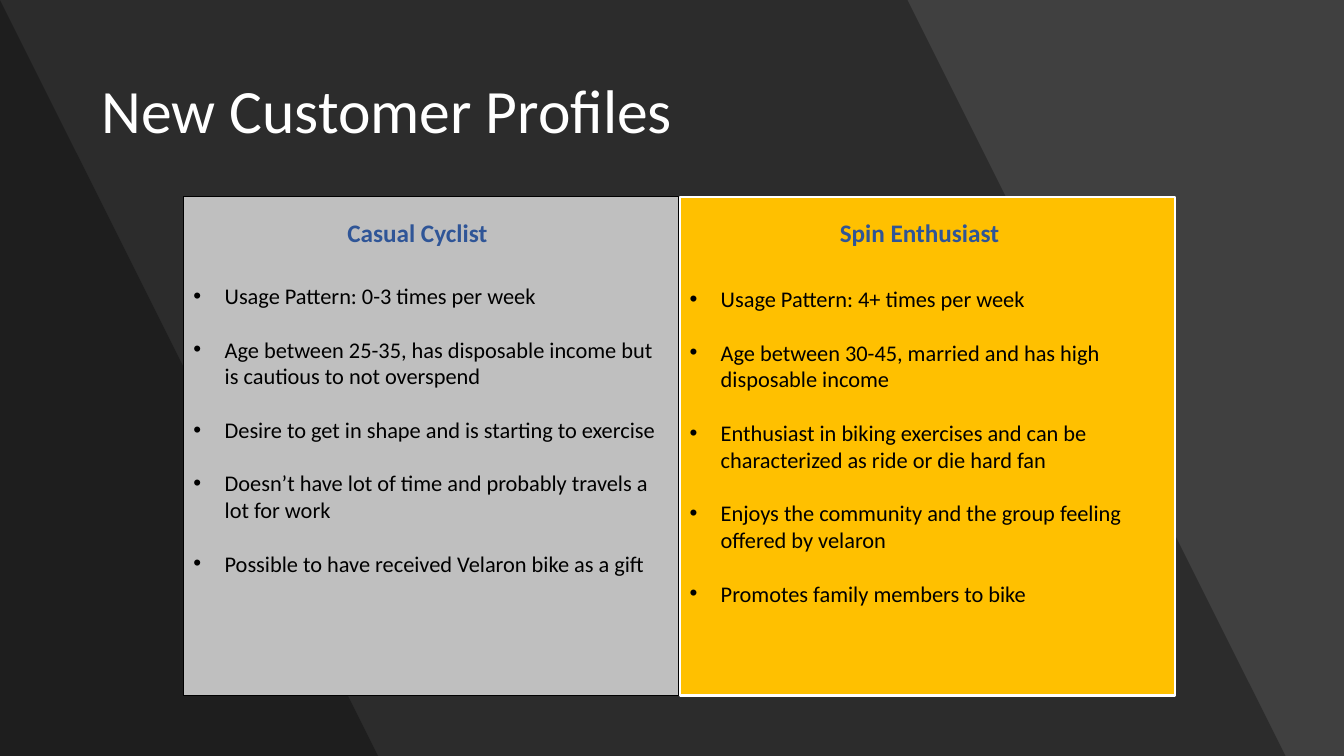
import pptx
import pptx.util
import pptx.dml.color
import pptx.enum.shapes
import pptx.enum.text
import pptx.oxml
import pptx.oxml.ns
from pptx.util import Inches

# Content
TITLE = "New Customer Profiles"
PROFILES = [
    {
        "name": "Casual Cyclist", "fill": "grey", "line": "black", "line_width": 1,
        "left": 1.82, "heading_left": 3.24, "text_top": 0.85,
        "points": [
            "Usage Pattern: 0-3 times per week",
            "Age between 25-35, has disposable income but is cautious to not overspend",
            "Desire to get in shape and is starting to exercise",
            "Doesn’t have lot of time and probably travels a lot for work",
            "Possible to have received Velaron bike as a gift",
        ],
    },
    {
        "name": "Spin Enthusiast", "fill": "gold", "line": "white", "line_width": 1.5,
        "left": 6.74, "heading_left": 8.22, "text_top": 0.88,
        "points": [
            "Usage Pattern: 4+ times per week",
            "Age between 30-45, married and has high disposable income",
            "Enthusiast in biking exercises and can be characterized as ride or die hard fan",
            "Enjoys the community and the group feeling offered by velaron",
            "Promotes family members to bike",
        ],
    },
]
COLOURS = {
    "background": "404040", "black": "000000", "white": "FFFFFF",
    "grey": "BFBFBF", "gold": "FFC000", "blue": "2F5597",
}
FONT = "Calibri"
SLIDE_WIDTH, SLIDE_HEIGHT = 13.33, 7.5
BANDS = [(9.42, 12.89), (0.44, 3.92)]  # right edge at the top and at the bottom
BAND_OPACITY = 30
PANEL_TOP, PANEL_WIDTH, PANEL_HEIGHT = 1.95, 4.91, 4.95
INDENT = 0.31
POINT_GAP = 19


def colour(name):
    return pptx.dml.color.RGBColor.from_string(COLOURS[name])


def paint(fill, name):
    fill.solid()
    fill.fore_color.rgb = colour(name)


def style(para, size, name, bold=False):
    for span in para.runs:
        span.font.name = FONT
        span.font.size = pptx.util.Pt(size)
        span.font.bold = bold
        span.font.color.rgb = colour(name)


def add_text(left, top, width, height, text, size, name, bold=False):
    box = page.shapes.add_textbox(Inches(left), Inches(top), Inches(width), Inches(height))
    box.text_frame.word_wrap = True
    para = box.text_frame.paragraphs[0]
    para.text = text
    style(para, size, name, bold)
    return box.text_frame


def add_bullet(para):
    properties = para._p.get_or_add_pPr()
    properties.set("marL", str(Inches(INDENT)))
    properties.set("indent", str(-Inches(INDENT)))
    namespace = pptx.oxml.ns.nsdecls("a")
    properties.append(pptx.oxml.parse_xml(f'<a:buFont {namespace} typeface="Arial"/>'))
    properties.append(pptx.oxml.parse_xml(f'<a:buChar {namespace} char="•"/>'))


def add_band(top_right, bottom_right):
    builder = page.shapes.build_freeform(0, 0, scale=Inches(1))
    corners = [(top_right, 0), (bottom_right, SLIDE_HEIGHT), (0, SLIDE_HEIGHT)]
    builder.add_line_segments(corners, close=True)
    band = builder.convert_to_shape()
    band.shadow.inherit = False
    band.line.fill.background()
    paint(band.fill, "black")
    shade = band._element.spPr.find(".//" + pptx.oxml.ns.qn("a:srgbClr"))
    alpha = shade.makeelement(pptx.oxml.ns.qn("a:alpha"), {"val": str(BAND_OPACITY * 1000)})
    shade.append(alpha)


def add_panel(profile):
    panel = page.shapes.add_shape(
        pptx.enum.shapes.MSO_SHAPE.RECTANGLE, Inches(profile["left"]), Inches(PANEL_TOP),
        Inches(PANEL_WIDTH), Inches(PANEL_HEIGHT))
    panel.shadow.inherit = False
    paint(panel.fill, profile["fill"])
    panel.line.color.rgb = colour(profile["line"])
    panel.line.width = pptx.util.Pt(profile["line_width"])
    frame = panel.text_frame
    frame.word_wrap = True
    frame.vertical_anchor = pptx.enum.text.MSO_ANCHOR.TOP
    frame.margin_top = Inches(profile["text_top"])
    frame.text = "\n".join(profile["points"])
    for para in frame.paragraphs:
        para.alignment = pptx.enum.text.PP_ALIGN.LEFT
        para.space_after = pptx.util.Pt(POINT_GAP)
        add_bullet(para)
        style(para, 16, "black")


# Page and background bands
deck = pptx.Presentation()
deck.slide_width, deck.slide_height = Inches(SLIDE_WIDTH), Inches(SLIDE_HEIGHT)
page = deck.slides.add_slide(deck.slide_layouts[6])
paint(page.background.fill, "background")
for band_edges in BANDS:
    add_band(*band_edges)

# Title
title = add_text(0.91, 0.4, 11.51, 1.45, TITLE, 44, "white")
title.vertical_anchor = pptx.enum.text.MSO_ANCHOR.MIDDLE
title.paragraphs[0].line_spacing = 0.9

# Panels, the right one behind the left one
for profile in reversed(PROFILES):
    add_panel(profile)

# Panel headings
for profile in PROFILES:
    heading = add_text(profile["heading_left"], 2.11, 1.8, 0.4, profile["name"], 18, "blue", True)
    heading.paragraphs[0].alignment = pptx.enum.text.PP_ALIGN.CENTER

deck.save("out.pptx")
